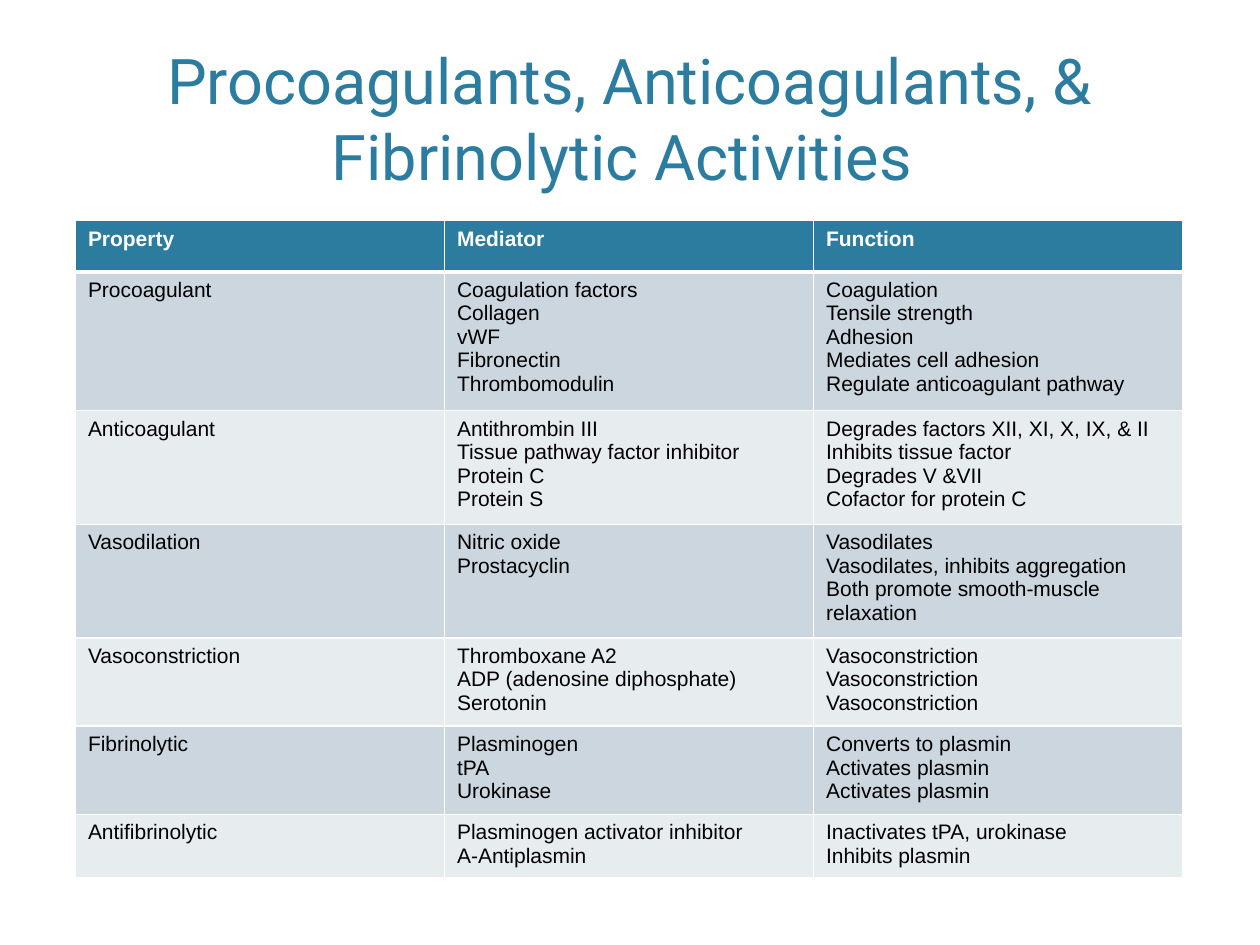
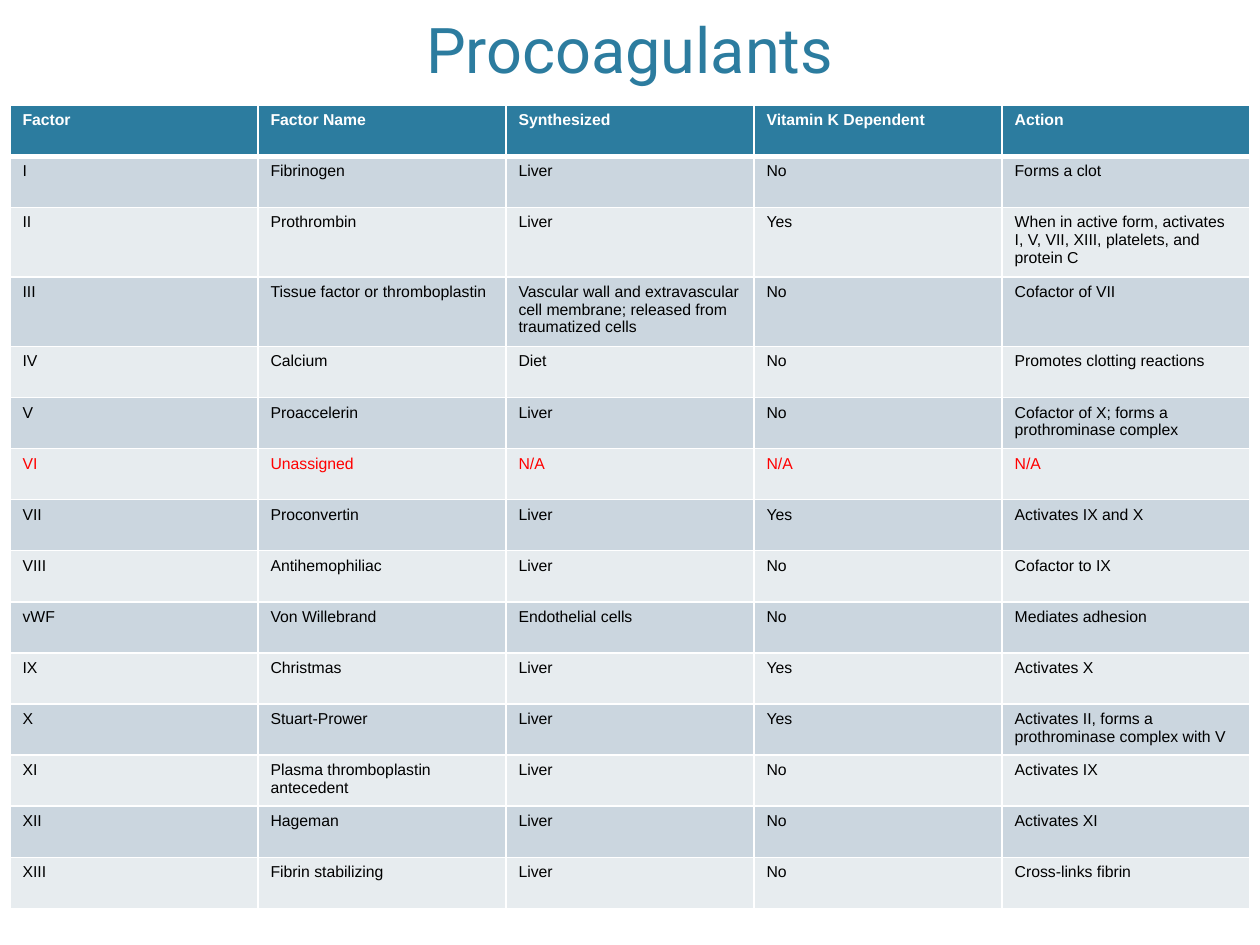
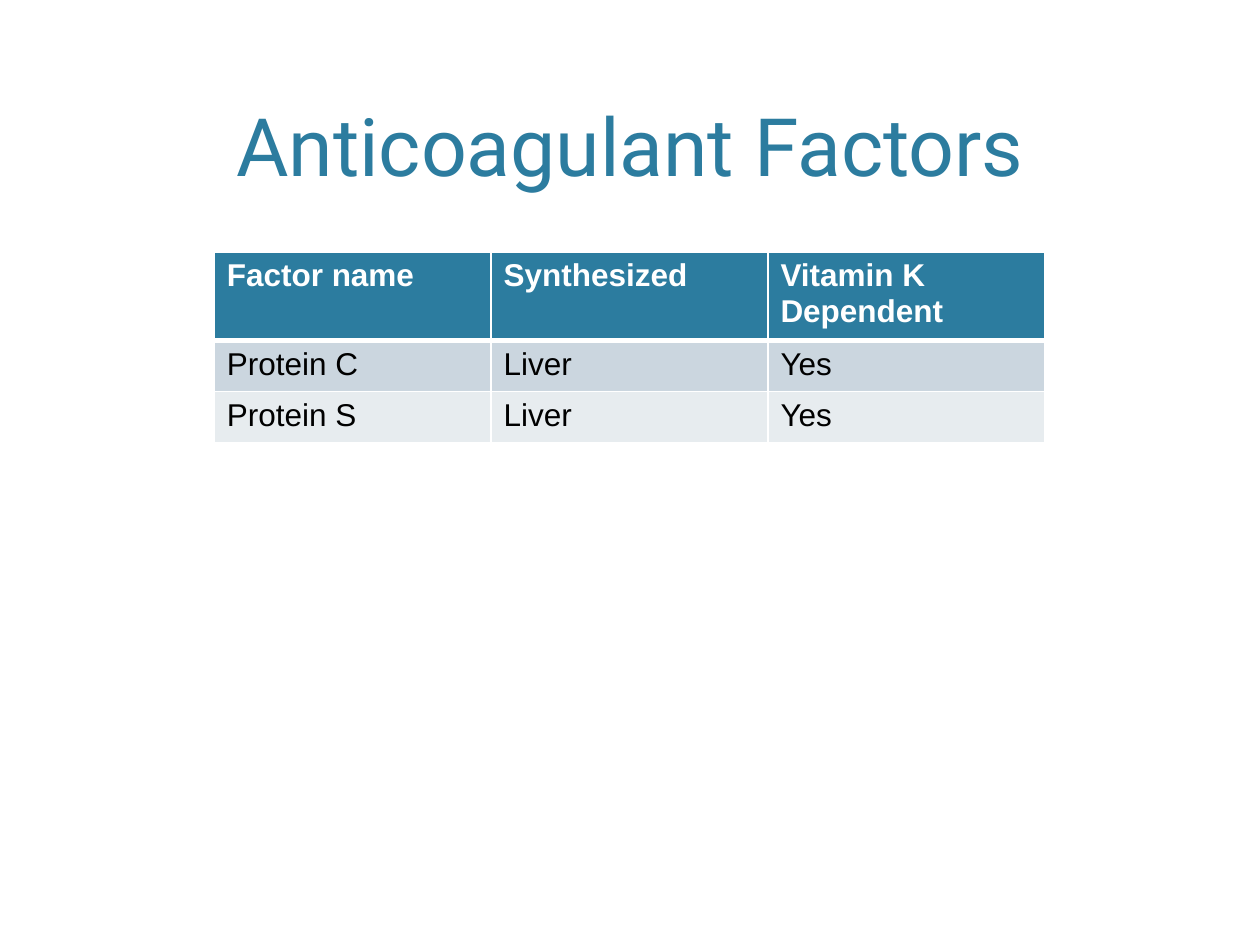
from lxml.etree import SubElement
from pptx import Presentation
from pptx.dml.color import RGBColor
from pptx.enum.text import MSO_ANCHOR, PP_ALIGN
from pptx.oxml.ns import qn
from pptx.util import Cm, Pt

TEAL = RGBColor(0x2C, 0x7C, 0x9F)
BAND_DARK = RGBColor(0xCB, 0xD6, 0xDF)
BAND_LIGHT = RGBColor(0xE7, 0xEC, 0xEF)
WHITE = RGBColor(0xFF, 0xFF, 0xFF)
BLACK = RGBColor(0x00, 0x00, 0x00)
RED = RGBColor(0xFF, 0x00, 0x00)
TITLE_FONT, TABLE_FONT = "Roboto", "Arial"

# Shared lengths, in centimetres
TITLE_LEFT, TITLE_WIDTH, TITLE_HEIGHT = 1.52, 22.35, 3.71
ROW_HEIGHT = 1.03

# Table contents, header row first
ACTIVITIES = [
    ("Property", "Mediator", "Function"),
    ("Procoagulant",
     "Coagulation factors\nCollagen\nvWF\nFibronectin\nThrombomodulin",
     "Coagulation\nTensile strength\nAdhesion\nMediates cell adhesion\n"
     "Regulate anticoagulant pathway"),
    ("Anticoagulant",
     "Antithrombin III\nTissue pathway factor inhibitor\nProtein C\nProtein S",
     "Degrades factors XII, XI, X, IX, & II\nInhibits tissue factor\n"
     "Degrades V &VII\nCofactor for protein C"),
    ("Vasodilation",
     "Nitric oxide\nProstacyclin",
     "Vasodilates\nVasodilates, inhibits aggregation\n"
     "Both promote smooth-muscle relaxation"),
    ("Vasoconstriction",
     "Thromboxane A2\nADP (adenosine diphosphate)\nSerotonin",
     "Vasoconstriction\nVasoconstriction\nVasoconstriction"),
    ("Fibrinolytic",
     "Plasminogen\ntPA\nUrokinase",
     "Converts to plasmin\nActivates plasmin\nActivates plasmin"),
    ("Antifibrinolytic",
     "Plasminogen activator inhibitor\nA-Antiplasmin",
     "Inactivates tPA, urokinase\nInhibits plasmin"),
]

PROCOAGULANTS = [
    ("Factor", "Factor Name", "Synthesized", "Vitamin K Dependent", "Action"),
    ("I", "Fibrinogen", "Liver", "No", "Forms a clot"),
    ("II", "Prothrombin", "Liver", "Yes",
     "When in active form, activates I, V, VII, XIII, platelets, and protein C"),
    ("III", "Tissue factor or thromboplastin",
     "Vascular wall and extravascular cell membrane; released from traumatized cells",
     "No", "Cofactor of VII"),
    ("IV", "Calcium", "Diet", "No", "Promotes clotting reactions"),
    ("V", "Proaccelerin", "Liver", "No", "Cofactor of X; forms a prothrominase complex"),
    ("VI", "Unassigned", "N/A", "N/A", "N/A"),
    ("VII", "Proconvertin", "Liver", "Yes", "Activates IX and X"),
    ("VIII", "Antihemophiliac", "Liver", "No", "Cofactor to IX"),
    ("vWF", "Von Willebrand", "Endothelial cells", "No", "Mediates adhesion"),
    ("IX", "Christmas", "Liver", "Yes", "Activates X"),
    ("X", "Stuart-Prower", "Liver", "Yes",
     "Activates II, forms a prothrominase complex with V"),
    ("XI", "Plasma thromboplastin antecedent", "Liver", "No", "Activates IX"),
    ("XII", "Hageman", "Liver", "No", "Activates XI"),
    ("XIII", "Fibrin stabilizing", "Liver", "No", "Cross-links fibrin"),
]

ANTICOAGULANTS = [
    ("Factor name", "Synthesized", "Vitamin K Dependent"),
    ("Protein C", "Liver", "Yes"),
    ("Protein S", "Liver", "Yes"),
]

# Row heights list only the rows that differ from ROW_HEIGHT
SLIDES = [
    dict(title="Procoagulants, Anticoagulants, & Fibrinolytic Activities ",
         title_top=0.3, title_size=36, rows=ACTIVITIES, left=1.52, top=4.45,
         column_width=7.44, text_size=12,
         heights={1: 2.8, 2: 2.29, 3: 2.29, 4: 1.77, 5: 1.77, 6: 1.26}),
    dict(title="Procoagulants",
         title_top=-1.85, title_size=36, rows=PROCOAGULANTS, left=0.2, top=2.12,
         column_width=5, text_size=9, heights={2: 1.4, 3: 1.4}),
    dict(title="Anticoagulant Factors",
         title_top=0.3, title_size=46, rows=ANTICOAGULANTS, left=4.32, top=5.08,
         column_width=5.58, text_size=18, heights={0: 1.77}),
]


def format_text(paragraph, font_name, size, color, bold=False):
    for run in paragraph.runs:
        run.font.name = font_name
        run.font.size = Pt(size)
        run.font.bold = bold
        run.font.color.rgb = color


def add_title(slide, text, top, size):
    box = slide.shapes.add_textbox(Cm(TITLE_LEFT), Cm(top), Cm(TITLE_WIDTH), Cm(TITLE_HEIGHT))
    frame = box.text_frame
    frame.word_wrap = True
    frame.vertical_anchor = MSO_ANCHOR.BOTTOM
    frame.text = text
    paragraph = frame.paragraphs[0]
    paragraph.alignment = PP_ALIGN.CENTER
    format_text(paragraph, TITLE_FONT, size, TEAL)


def set_borders(cell, top, bottom):
    properties = cell._tc.get_or_add_tcPr()
    for side, width in (("L", 1), ("R", 1), ("T", top), ("B", bottom)):
        line = SubElement(properties, qn(f"a:ln{side}"), w=str(Pt(width)))
        fill = SubElement(line, qn("a:solidFill"))
        SubElement(fill, qn("a:srgbClr"), val=str(WHITE))


def row_colors(index, row):
    if index == 0:
        return TEAL, WHITE
    band = BAND_DARK if index % 2 else BAND_LIGHT
    return band, RED if "Unassigned" in row else BLACK


def add_banded_table(slide, rows, left, top, column_width, text_size, heights):
    row_heights = [heights.get(index, ROW_HEIGHT) for index in range(len(rows))]
    column_count = len(rows[0])
    table = slide.shapes.add_table(
        len(rows), column_count, Cm(left), Cm(top),
        Cm(column_width * column_count), Cm(sum(row_heights))).table
    for column in table.columns:
        column.width = Cm(column_width)
    for row_index, row in enumerate(rows):
        table.rows[row_index].height = Cm(row_heights[row_index])
        fill_color, text_color = row_colors(row_index, row)
        for column_index, text in enumerate(row):
            cell = table.cell(row_index, column_index)
            # The rule under the header is thicker than the other borders
            set_borders(cell, top=3 if row_index == 1 else 1,
                        bottom=3 if row_index == 0 else 1)
            cell.fill.solid()
            cell.fill.fore_color.rgb = fill_color
            cell.text_frame.text = text
            for paragraph in cell.text_frame.paragraphs:
                format_text(paragraph, TABLE_FONT, text_size, text_color, row_index == 0)


def main():
    presentation = Presentation()
    presentation.slide_width, presentation.slide_height = Cm(25.4), Cm(19.05)
    for content in SLIDES:
        slide = presentation.slides.add_slide(presentation.slide_layouts[6])
        add_title(slide, content["title"], content["title_top"], content["title_size"])
        add_banded_table(slide, content["rows"], content["left"], content["top"],
                         content["column_width"], content["text_size"], content["heights"])
    presentation.save("out.pptx")


if __name__ == "__main__":
    main()
